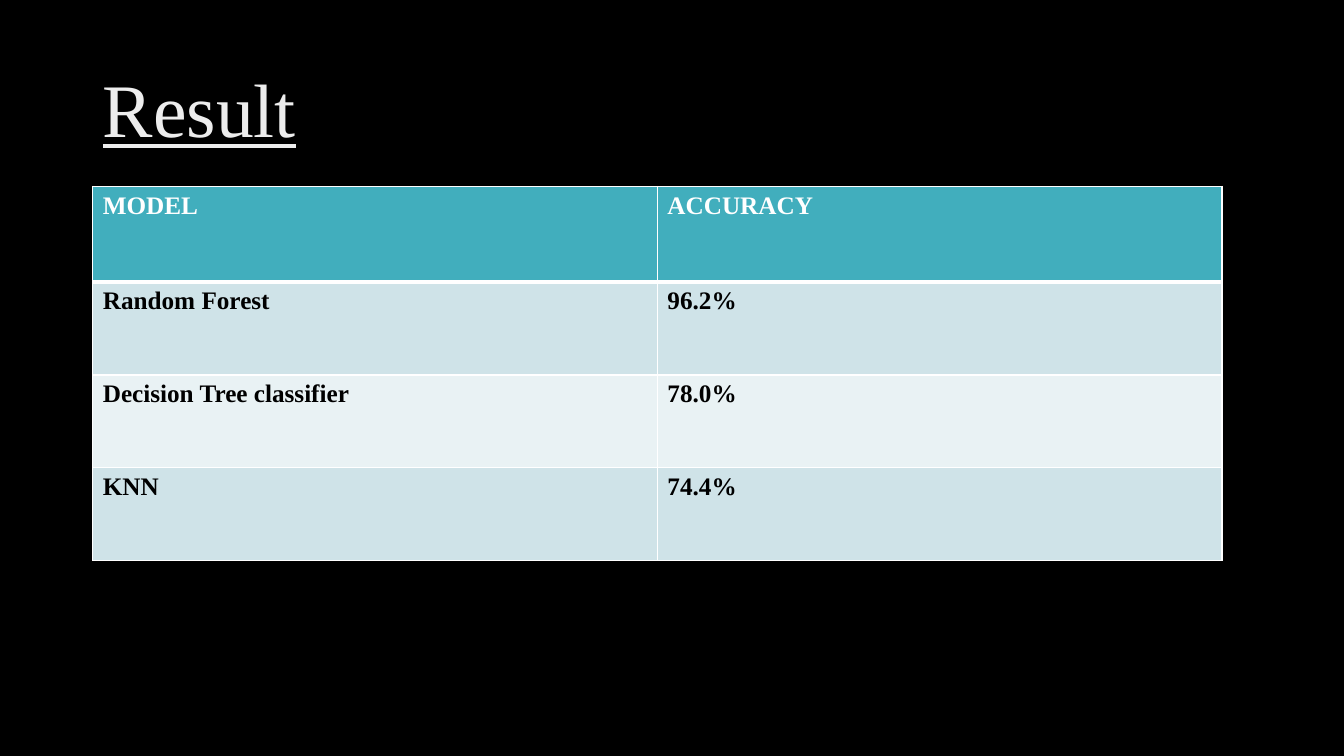
from lxml import etree
from pptx import Presentation
from pptx.dml.color import RGBColor
from pptx.enum.text import MSO_ANCHOR, PP_ALIGN
from pptx.oxml.ns import qn
from pptx.util import Inches, Pt

MIDDLE = MSO_ANCHOR.MIDDLE
LEFT = PP_ALIGN.LEFT
FONT = "Times New Roman"
COLORS = {
    "background": "000000",
    "title": "EDEDED",
    "header": "41AEBD",
    "odd_row": "CFE3E8",
    "even_row": "E9F2F4",
    "light": "FFFFFF",
    "dark": "000000",
}
RESULTS = [
    ("MODEL", "ACCURACY"),
    ("Random Forest", "96.2%"),
    ("Decision Tree classifier", "78.0%"),
    ("KNN", "74.4%"),
]
MARGIN, TITLE_TOP, TITLE_HEIGHT = 0.92, 0.4, 1.45
COLUMN_WIDTH, HEADER_HEIGHT, ROW_HEIGHT = 5.6, 0.95, 0.92


def style_font(font, size, color):
    font.name = FONT
    font.size = Pt(size)
    font.color.rgb = RGBColor.from_string(COLORS[color])


def add_border(cell, side, width, color):
    properties = cell._tc.get_or_add_tcPr()
    line = etree.SubElement(properties, qn(f"a:ln{side}"), w=str(Pt(width)))
    fill = etree.SubElement(line, qn("a:solidFill"))
    etree.SubElement(fill, qn("a:srgbClr"), val=COLORS[color])


presentation = Presentation()
presentation.slide_width = Inches(13.33)
presentation.slide_height = Inches(7.5)
slide = presentation.slides.add_slide(presentation.slide_layouts[5])
slide.background.fill.solid()
slide.background.fill.fore_color.rgb = RGBColor.from_string(COLORS["background"])

# Title
title = slide.shapes.title
title.left, title.top = Inches(MARGIN), Inches(TITLE_TOP)
title.width, title.height = Inches(11.5), Inches(TITLE_HEIGHT)
title.text_frame.text = "Result"
title.text_frame.vertical_anchor = MIDDLE
paragraph = title.text_frame.paragraphs[0]
paragraph.alignment = LEFT
paragraph.line_spacing = 0.9
style_font(paragraph.font, 54, "title")
paragraph.font.underline = True

# Accuracy table
row_count, column_count = len(RESULTS), len(RESULTS[0])
table = slide.shapes.add_table(
    row_count, column_count,
    Inches(MARGIN), Inches(TITLE_TOP + TITLE_HEIGHT),
    Inches(column_count * COLUMN_WIDTH),
    Inches(HEADER_HEIGHT + (row_count - 1) * ROW_HEIGHT),
).table
for column in table.columns:
    column.width = Inches(COLUMN_WIDTH)

for row_index, values in enumerate(RESULTS):
    is_header = row_index == 0
    table.rows[row_index].height = Inches(HEADER_HEIGHT if is_header else ROW_HEIGHT)
    band = "header" if is_header else ("even_row", "odd_row")[row_index % 2]
    for column_index, value in enumerate(values):
        cell = table.cell(row_index, column_index)
        # The rule under the header is thicker than the other borders
        border_widths = {
            "L": 1,
            "R": 1,
            "T": 3 if row_index == 1 else 1,
            "B": 3 if is_header else 1,
        }
        for side, width in border_widths.items():
            add_border(cell, side, width, "light")
        cell.fill.solid()
        cell.fill.fore_color.rgb = RGBColor.from_string(COLORS[band])
        cell.text = value
        font = cell.text_frame.paragraphs[0].font
        style_font(font, 18, "light" if is_header else "dark")
        font.bold = True

presentation.save("out.pptx")
